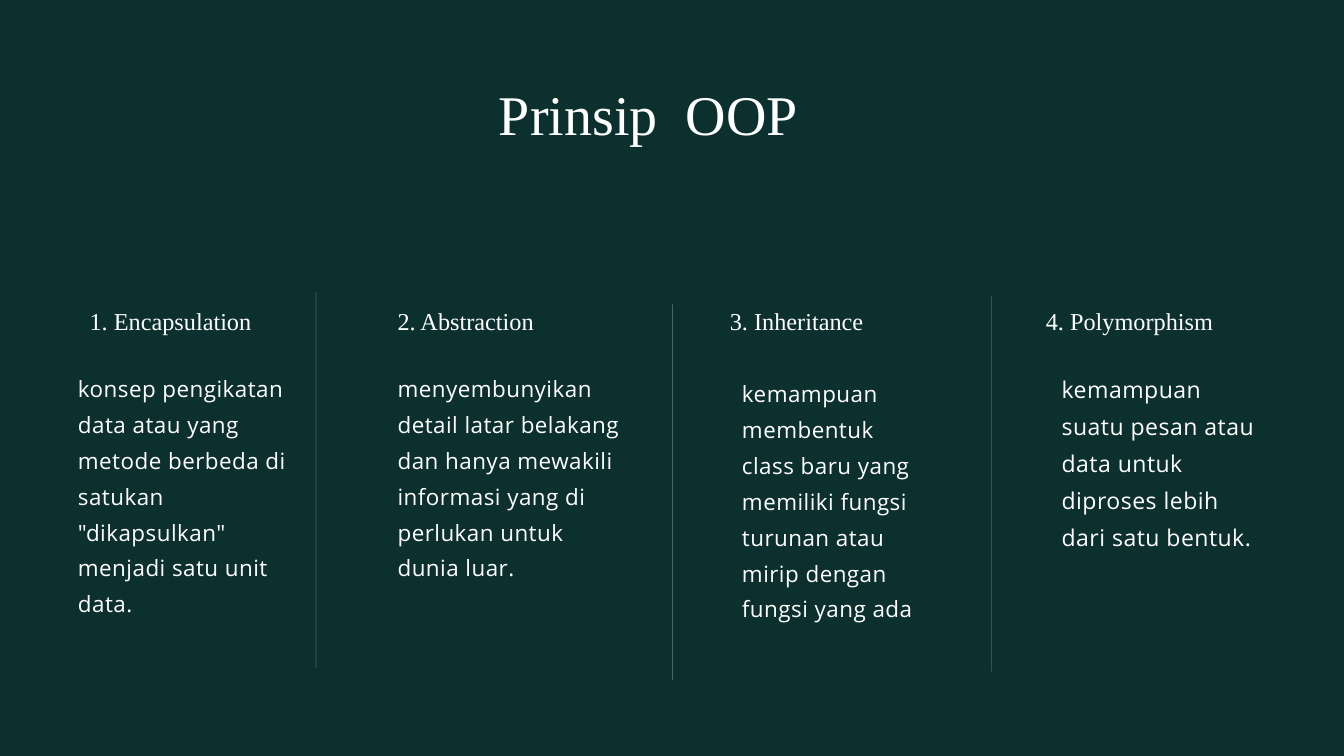
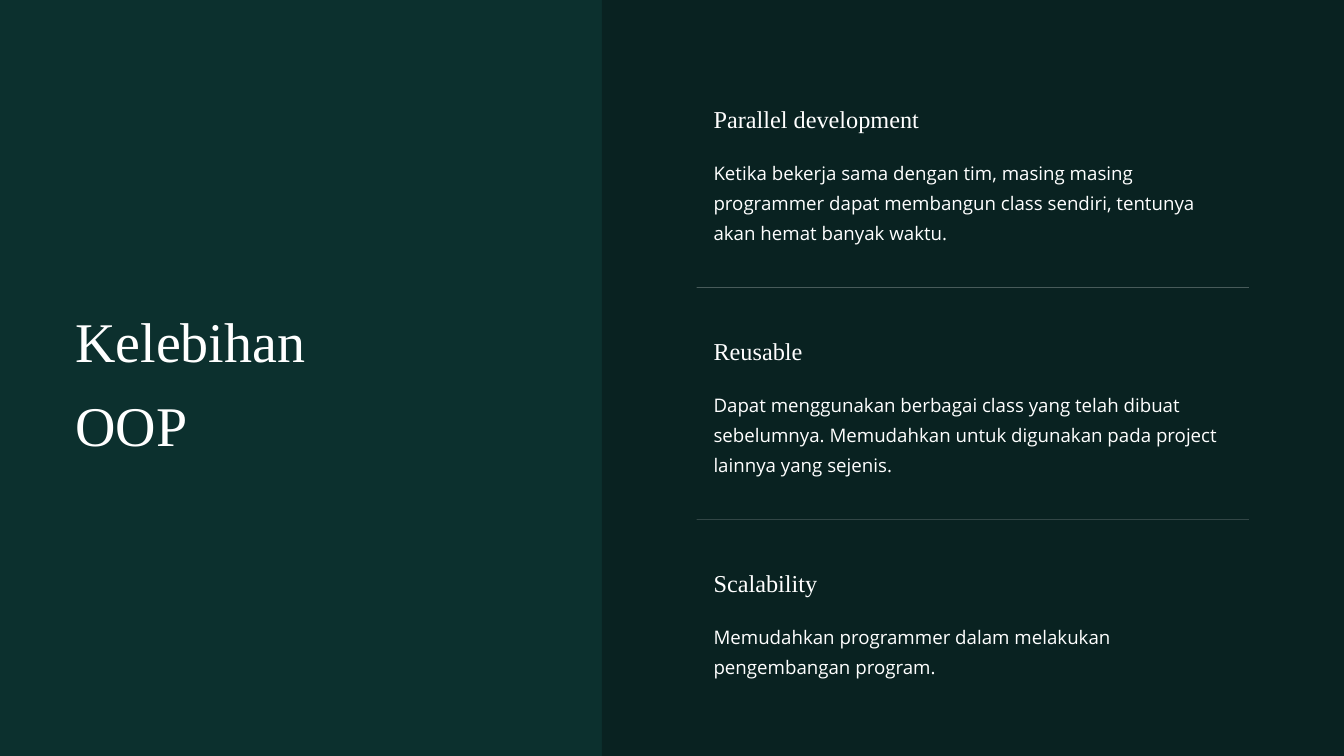
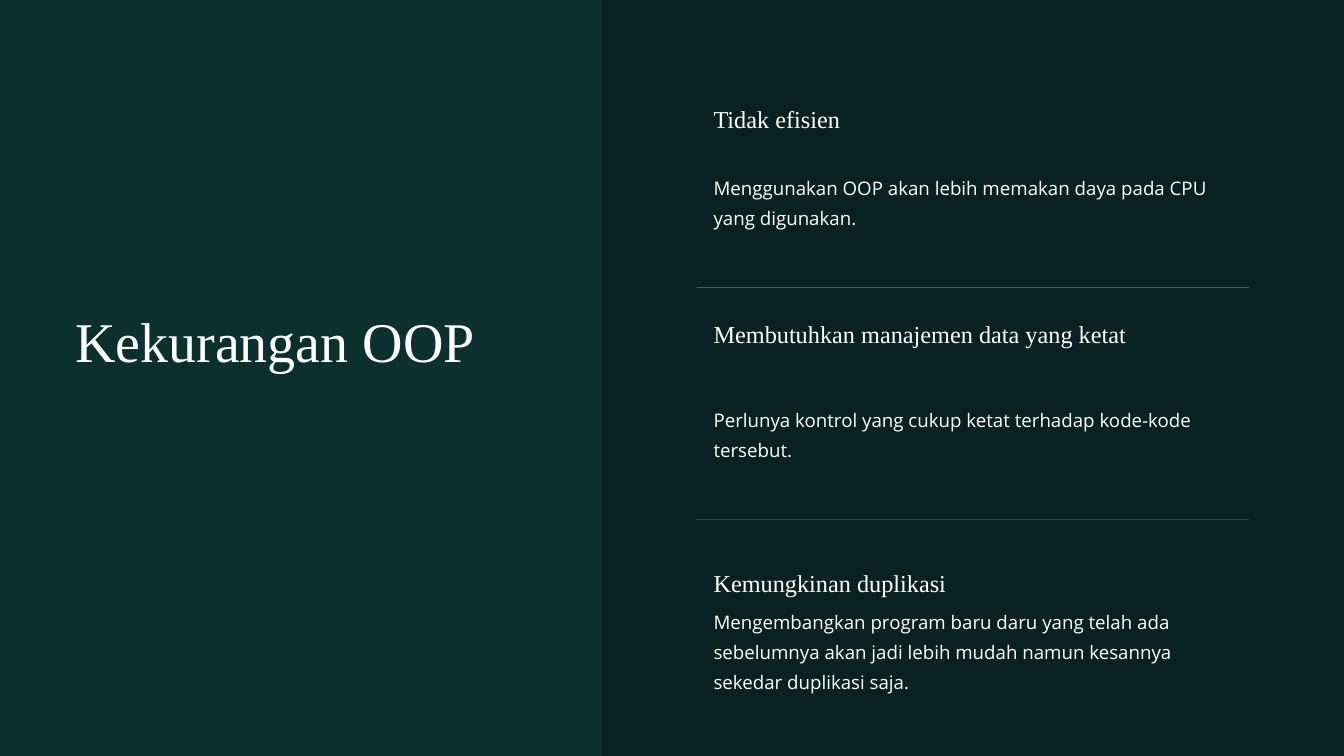
from dataclasses import dataclass

from lxml import etree
from pptx import Presentation
from pptx import util as u
from pptx.dml import color
from pptx.enum import shapes, text
from pptx.oxml import ns

Pt = u.Pt
LEFT, CENTER = text.PP_ALIGN.LEFT, text.PP_ALIGN.CENTER


@dataclass(frozen=True)
class TextStyle:
    font: str
    size: float
    leading: float
    tracking: float = 0


class Theme:
    ground = color.RGBColor(0x0C, 0x30, 0x2E)
    panel = color.RGBColor(0x09, 0x22, 0x21)
    ink = color.RGBColor(0xFF, 0xFF, 0xFF)
    rule_width = 0.75
    rule_opacity = 25
    title = TextStyle("Times New Roman", 60, 90)
    heading = TextStyle("Times New Roman", 26, 36.4)
    principle = TextStyle("Open Sans", 24, 38.4, 0.5)
    large_principle = TextStyle("Open Sans", 24.7, 39.6, 0.5)
    point = TextStyle("Open Sans", 20, 32)


class Deck:
    """Holds the theme and the slide being built."""

    def __init__(self, theme, width, height):
        self.theme = theme
        self.height = height
        self.prs = Presentation()
        self.prs.slide_width, self.prs.slide_height = Pt(width), Pt(height)
        background = self.prs.slide_master.background.fill
        background.solid()
        background.fore_color.rgb = theme.ground
        self.slide = None

    def new_slide(self):
        title_only = self.prs.slide_layouts[5]
        self.slide = self.prs.slides.add_slide(title_only)

    def fill_text(self, frame, lines, style, align=LEFT):
        """Fill a frame; each line is a list of (text, tracking) runs."""
        frame_format = {
            "margin_left": 0, "margin_top": 0,
            "margin_right": 0, "margin_bottom": 0,
            "word_wrap": True,
            "vertical_anchor": text.MSO_ANCHOR.TOP,
            "auto_size": text.MSO_AUTO_SIZE.SHAPE_TO_FIT_TEXT,
        }
        line_format = {
            "alignment": align, "line_spacing": Pt(style.leading),
            "space_before": Pt(0), "space_after": Pt(0),
        }
        font_format = {"name": style.font, "size": Pt(style.size)}
        self.apply(frame, frame_format)
        for index, runs in enumerate(lines):
            line = frame.add_paragraph() if index else frame.paragraphs[0]
            self.apply(line, line_format)
            for words, tracking in runs:
                run = line.add_run()
                run.text = words
                self.apply(run.font, font_format)
                run.font.color.rgb = self.theme.ink
                if tracking:
                    run._r.get_or_add_rPr().set("spc", str(round(tracking * 100)))

    @staticmethod
    def apply(target, values):
        for name, value in values.items():
            setattr(target, name, value)

    def title(self, lines, left, top, width, height, align=LEFT):
        heading = self.slide.shapes.title
        self.apply(heading, {"left": Pt(left), "top": Pt(top),
                             "width": Pt(width), "height": Pt(height)})
        self.fill_text(heading.text_frame, lines, self.theme.title, align)

    def label(self, words, style, left, top, width, height):
        box = self.slide.shapes.add_textbox(Pt(left), Pt(top), Pt(width), Pt(height))
        self.fill_text(box.text_frame, [[(words, style.tracking)]], style)

    def panel(self, left, width):
        side = self.slide.shapes.add_shape(
            shapes.MSO_SHAPE.RECTANGLE, Pt(left), 0, Pt(width), Pt(self.height))
        side.shadow.inherit = False
        side.fill.solid()
        side.fill.fore_color.rgb = self.theme.panel
        side.line.fill.background()

    def rule(self, x1, y1, x2, y2):
        divider = self.slide.shapes.add_connector(
            shapes.MSO_CONNECTOR.STRAIGHT, Pt(x1), Pt(y1), Pt(x2), Pt(y2))
        divider.line.width = Pt(self.theme.rule_width)
        divider.line.color.rgb = self.theme.ink
        properties = divider._element.spPr
        tint = properties.find(".//" + ns.qn("a:srgbClr"))
        alpha = etree.SubElement(tint, ns.qn("a:alpha"))
        alpha.set("val", str(self.theme.rule_opacity * 1000))
        etree.SubElement(properties, ns.qn("a:effectLst"))


def principles_slide(deck):
    theme = deck.theme
    deck.new_slide()
    # The gap between the title words is a space widened by tracking
    deck.title([[("Prinsip", 0), (" ", 15), ("OOP", 0)]], 80.64, 67.68, 1228, 86, CENTER)

    # Heading, its left and width; text, its left, top, width, height and style
    principles = [
        ("1. Encapsulation", 96, 230,
         'konsep pengikatan data atau yang metode berbeda di satukan '
         '"dikapsulkan" menjadi satu unit data.',
         83.5, 392.5, 242.5, 263.5, theme.principle),
        ("2. Abstraction", 426, 194,
         "menyembunyikan detail latar belakang dan hanya mewakili informasi "
         "yang di perlukan untuk dunia luar.",
         426, 392.5, 248.5, 225.5, theme.principle),
        ("3. Inheritance", 782, 194,
         "kemampuan membentuk class baru yang memiliki fungsi turunan atau "
         "mirip dengan fungsi yang ada",
         795, 398, 194, 263.5, theme.principle),
        ("4. Polymorphism", 1120.5, 262,
         "kemampuan suatu pesan atau data untuk diproses lebih dari satu bentuk.",
         1137.5, 392.5, 209, 193, theme.large_principle),
    ]
    for name, name_left, name_width, meaning, left, top, width, height, style in principles:
        deck.label(name, theme.heading, name_left, 322.5, name_width, 34.5)
        deck.label(meaning, style, left, top, width, height)

    # Column dividers
    for x, top in [(338.5, 313), (720.5, 326), (1062.5, 317)]:
        deck.rule(x, top, x, top + 402.5)


def points_slide(deck, title_lines, points):
    """Title on the left; three points on a dark panel, divided by rules.

    A point is: name, rise of the name, text, drop of the text, text height.
    """
    theme = deck.theme
    first_top, row_step = 106.5, 248.5
    text_left, text_width = 764.5, 556
    deck.new_slide()
    deck.panel(645, 795)
    deck.title([[(line, 0)] for line in title_lines], 80.64, 310.5, 521, 175.5)
    for row, (name, rise, detail, drop, height) in enumerate(points):
        top = first_top + row * row_step
        deck.label(name, theme.heading, text_left, top - rise, text_width, 34.5 + 2 * rise)
        deck.label(detail, theme.point, text_left, top + drop, text_width, height)
        if row:
            rule_y = top - 47
            deck.rule(746.5, rule_y, 1338, rule_y)


def main():
    deck = Deck(Theme(), 1440, 810)
    principles_slide(deck)
    points_slide(deck, ["Kelebihan", "OOP"], [
        ("Parallel development", 0,
         "Ketika bekerja sama dengan tim, masing masing programmer dapat "
         "membangun class sendiri, tentunya akan hemat banyak waktu.", 59, 94),
        ("Reusable", 0,
         "Dapat menggunakan berbagai class yang telah dibuat sebelumnya. "
         "Memudahkan untuk digunakan pada project lainnya yang sejenis.", 59, 94),
        ("Scalability", 0,
         "Memudahkan programmer dalam melakukan pengembangan program.", 59, 62),
    ])
    points_slide(deck, ["Kekurangan OOP"], [
        ("Tidak efisien", 0,
         "Menggunakan OOP akan lebih memakan daya pada CPU yang digunakan.", 75, 62),
        ("Membutuhkan manajemen data yang ketat", 18,
         "Perlunya kontrol yang cukup ketat terhadap kode-kode tersebut.", 75, 62),
        ("Kemungkinan duplikasi", 0,
         "Mengembangkan program baru daru yang telah ada sebelumnya akan jadi "
         "lebih mudah namun kesannya sekedar duplikasi saja.", 43, 94),
    ])
    deck.prs.save("out.pptx")


if __name__ == "__main__":
    main()
